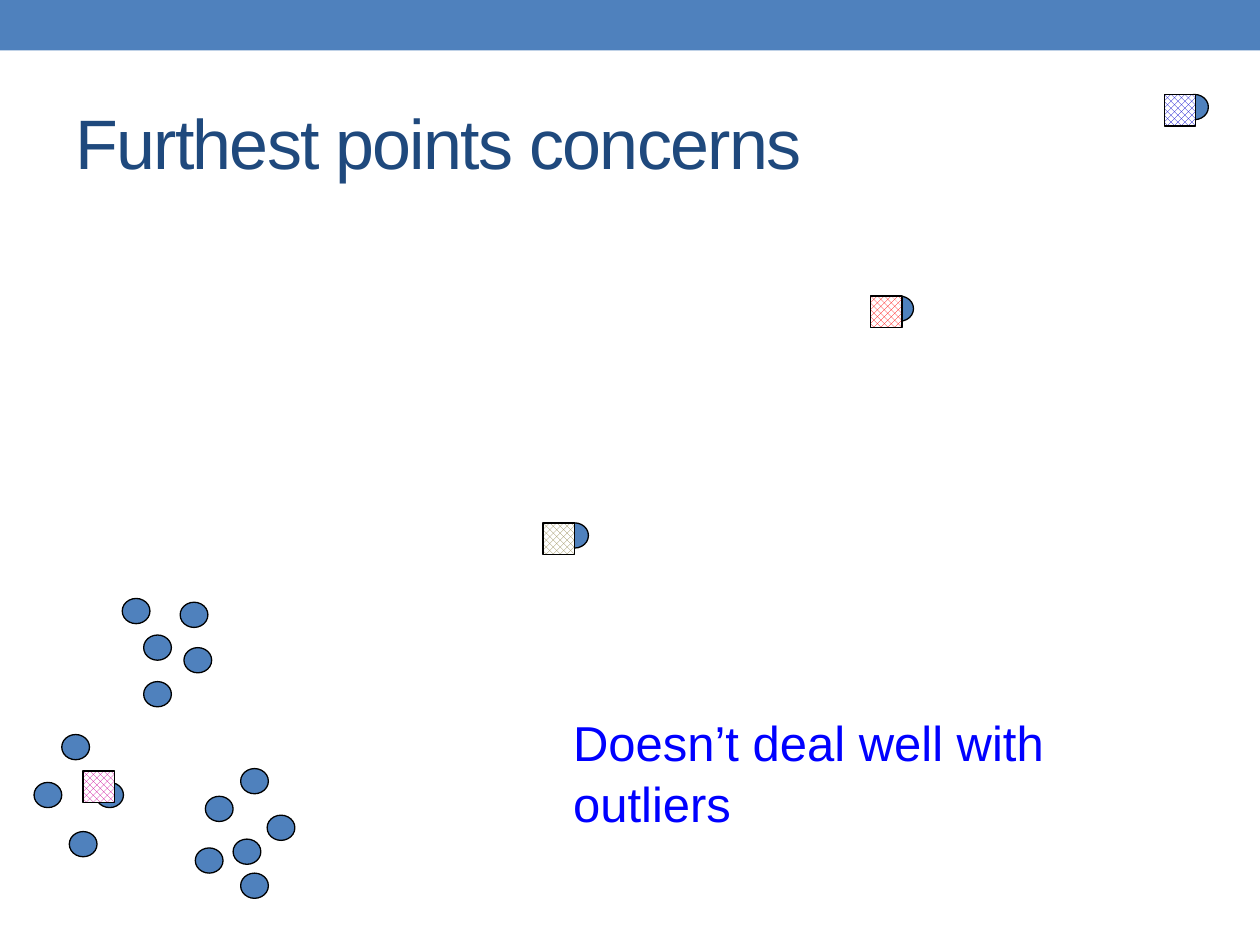
from dataclasses import dataclass

from pptx import Presentation
from pptx.dml.color import RGBColor
from pptx.enum.dml import MSO_PATTERN
from pptx.enum.shapes import MSO_SHAPE
from pptx.enum.text import MSO_ANCHOR
from pptx.util import Inches, Pt

RECT = MSO_SHAPE.RECTANGLE
OVAL = MSO_SHAPE.OVAL
CHECKER = MSO_PATTERN.LARGE_CHECKER_BOARD
TOP = MSO_ANCHOR.TOP
MIDDLE = MSO_ANCHOR.MIDDLE

WIDTH, HEIGHT = Inches(10), Inches(7.5)
COLS, ROWS = 1000, 750
DOT_W, DOT_H = 22, 20
CENTER_SIZE = 25
FONT = "Arial"
COLORS = {
    "band": "4F81BD",
    "dot": "4F81BD",
    "title": "1F497D",
    "note": "0000FF",
    "outline": "000000",
    "paper": "FFFFFF",
    "blue": "0000CC",
    "red": "FF0000",
    "magenta": "CC0099",
    "olive": "948A54",
}


@dataclass(frozen=True)
class Box:
    col: float
    row: float
    cols: float
    rows: float

    def emu(self) -> tuple[int, int, int, int]:
        return (
            round(self.col * WIDTH / COLS),
            round(self.row * HEIGHT / ROWS),
            round(self.cols * WIDTH / COLS),
            round(self.rows * HEIGHT / ROWS),
        )


@dataclass(frozen=True)
class Point:
    col: float
    row: float


@dataclass(frozen=True)
class Center:
    col: float
    row: float
    color: str


POINTS = [
    Point(49, 583), Point(27, 621), Point(76, 621), Point(55, 660),
    Point(114, 504), Point(114, 541), Point(146, 514), Point(155, 673),
    Point(185, 666), Point(163, 632), Point(191, 610), Point(212, 647),
    Point(191, 693), Point(143, 478), Point(97, 475),
    Point(937, 75), Point(703, 235), Point(445, 415),
]
CENTERS = [
    Center(924, 75, "blue"),
    Center(691, 235, "red"),
    Center(66, 612, "magenta"),
    Center(431, 415, "olive"),
]


def rgb(name: str) -> RGBColor:
    return RGBColor.from_string(COLORS[name])


def add_shape(slide, kind, box: Box, color: str, pattern=None, outlined: bool = True):
    sp = slide.shapes.add_shape(kind, *box.emu())
    sp.shadow.inherit = False
    if pattern is None:
        sp.fill.solid()
        sp.fill.fore_color.rgb = rgb(color)
    else:
        sp.fill.patterned()
        sp.fill.pattern = pattern
        sp.fill.fore_color.rgb = rgb(color)
        sp.fill.back_color.rgb = rgb("paper")
    if outlined:
        sp.line.color.rgb = rgb("outline")
        sp.line.width = Pt(0.75)
    else:
        sp.line.fill.background()
    return sp


def add_text(slide, text: str, box: Box, *, size: float, color: str,
             anchor=TOP, tracking: float = 0, spacing: float = 1.0):
    tf = slide.shapes.add_textbox(*box.emu()).text_frame
    tf.word_wrap = True
    tf.vertical_anchor = anchor
    p = tf.paragraphs[0]
    p.line_spacing = spacing
    r = p.add_run()
    r.text = text
    r.font.name = FONT
    r.font.size = Pt(size)
    r.font.color.rgb = rgb(color)
    if tracking:
        r.font._element.set("spc", str(round(tracking * 100)))


def add_point(slide, point: Point) -> None:
    add_shape(slide, OVAL, Box(point.col, point.row, DOT_W, DOT_H), "dot")


def add_center(slide, center: Center) -> None:
    box = Box(center.col, center.row, CENTER_SIZE, CENTER_SIZE)
    add_shape(slide, RECT, box, center.color, pattern=CHECKER)


def main() -> None:
    prs = Presentation()
    prs.slide_width, prs.slide_height = WIDTH, HEIGHT
    slide = prs.slides.add_slide(prs.slide_layouts[6])
    add_shape(slide, RECT, Box(0, 0, COLS, 40), "band", outlined=False)
    add_text(slide, "Furthest points concerns", Box(50, 58, 900, 108),
             size=40, color="title", anchor=MIDDLE, tracking=-1)
    for point in POINTS:
        add_point(slide, point)
    add_text(slide, "Doesn’t deal well with outliers", Box(445, 558, 482, 57),
             size=28, color="note", spacing=1.05)
    for center in CENTERS:
        add_center(slide, center)
    prs.save("out.pptx")


if __name__ == "__main__":
    main()
